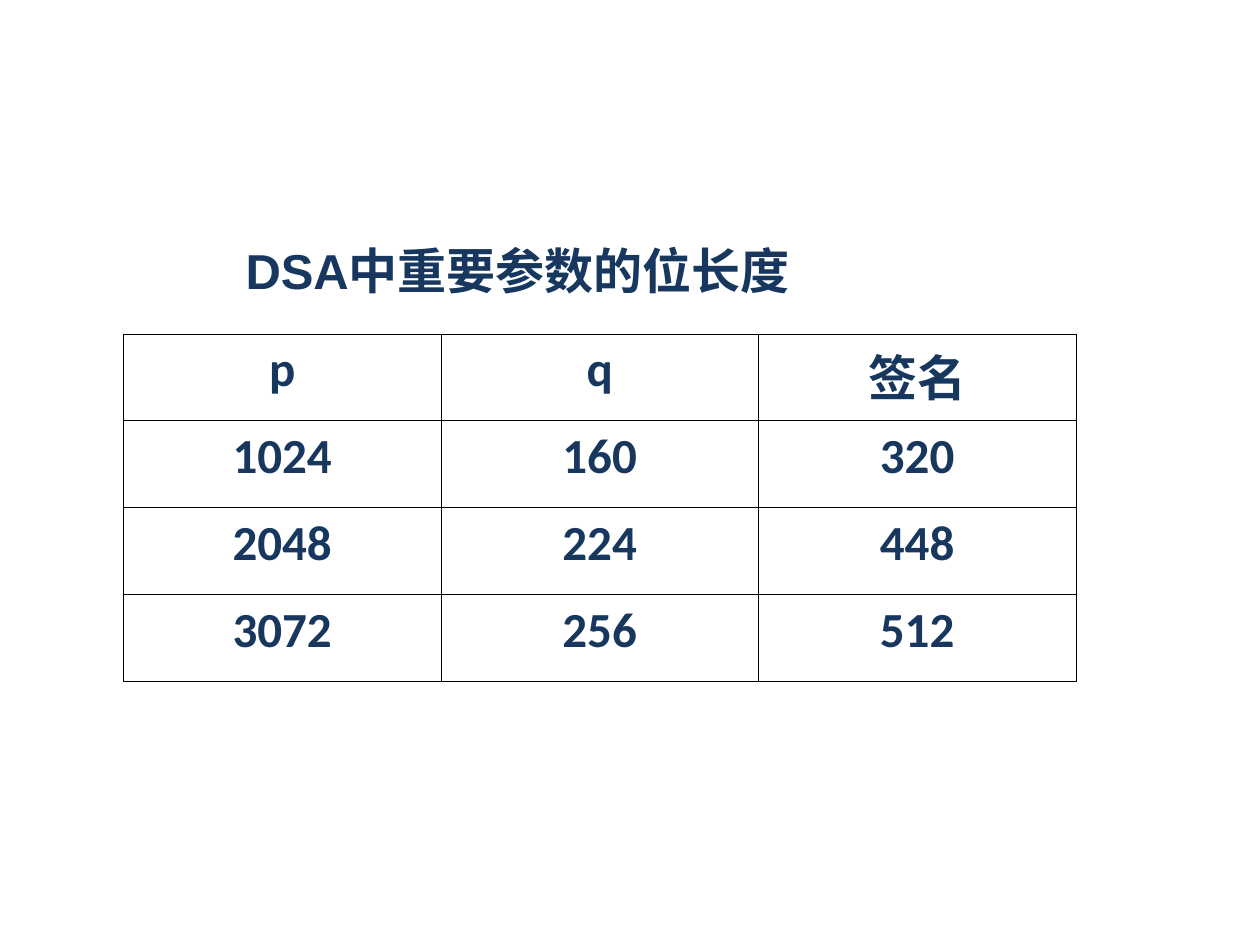
from lxml import etree
from pptx import Presentation
from pptx import util as u
from pptx.dml.color import RGBColor
from pptx.enum import text
from pptx.oxml import ns

COLORS = {"text": "17375E", "border": "000000"}
PARAMETER_ROWS = [
    ("p", "q", "签名"),
    ("1024", "160", "320"),
    ("2048", "224", "448"),
    ("3072", "256", "512"),
]


class SlideBuilder:
    font_format = {"size": u.Pt(28), "bold": True}
    border_width = u.Pt(0.45)

    def __init__(self, slide):
        self.slide = slide

    def add_text(self, frame, content, font_name, alignment):
        paragraph = frame.paragraphs[0]
        paragraph.alignment = alignment
        run = paragraph.add_run()
        run.text = content
        for name, value in {**self.font_format, "name": font_name}.items():
            setattr(run.font, name, value)
        run.font.color.rgb = RGBColor.from_string(COLORS["text"])

    def title(self, content, left, top, width, height):
        box = self.slide.shapes.add_textbox(*map(u.Inches, (left, top, width, height)))
        frame = box.text_frame
        frame.word_wrap = True
        frame.auto_size = text.MSO_AUTO_SIZE.SHAPE_TO_FIT_TEXT
        self.add_text(frame, content, "Arial", text.PP_ALIGN.LEFT)

    def border(self, cell):
        """Draw all four cell edges; must run before the cell fill is set."""
        properties = cell._tc.get_or_add_tcPr()
        for edge in ("a:lnL", "a:lnR", "a:lnT", "a:lnB"):
            line = etree.SubElement(properties, ns.qn(edge), w=str(self.border_width))
            fill = etree.SubElement(line, ns.qn("a:solidFill"))
            etree.SubElement(fill, ns.qn("a:srgbClr"), val=COLORS["border"])

    def table(self, rows, left, top, width, height):
        table = self.slide.shapes.add_table(
            len(rows), len(rows[0]), *map(u.Inches, (left, top, width, height))
        ).table
        table.first_row = table.horz_banding = False
        for row, values in zip(table.rows, rows):
            for cell, value in zip(row.cells, values):
                self.border(cell)
                cell.fill.background()
                self.add_text(cell.text_frame, value, "Calibri", text.PP_ALIGN.CENTER)


def main():
    presentation = Presentation()
    presentation.slide_width = u.Inches(10)
    presentation.slide_height = u.Inches(7.5)
    builder = SlideBuilder(presentation.slides.add_slide(presentation.slide_layouts[6]))
    builder.title("DSA中重要参数的位长度", 1.85, 1.86, 7.32, 0.57)
    builder.table(PARAMETER_ROWS, 0.98, 2.65, 7.56, 2.76)
    presentation.save("out.pptx")


if __name__ == "__main__":
    main()
